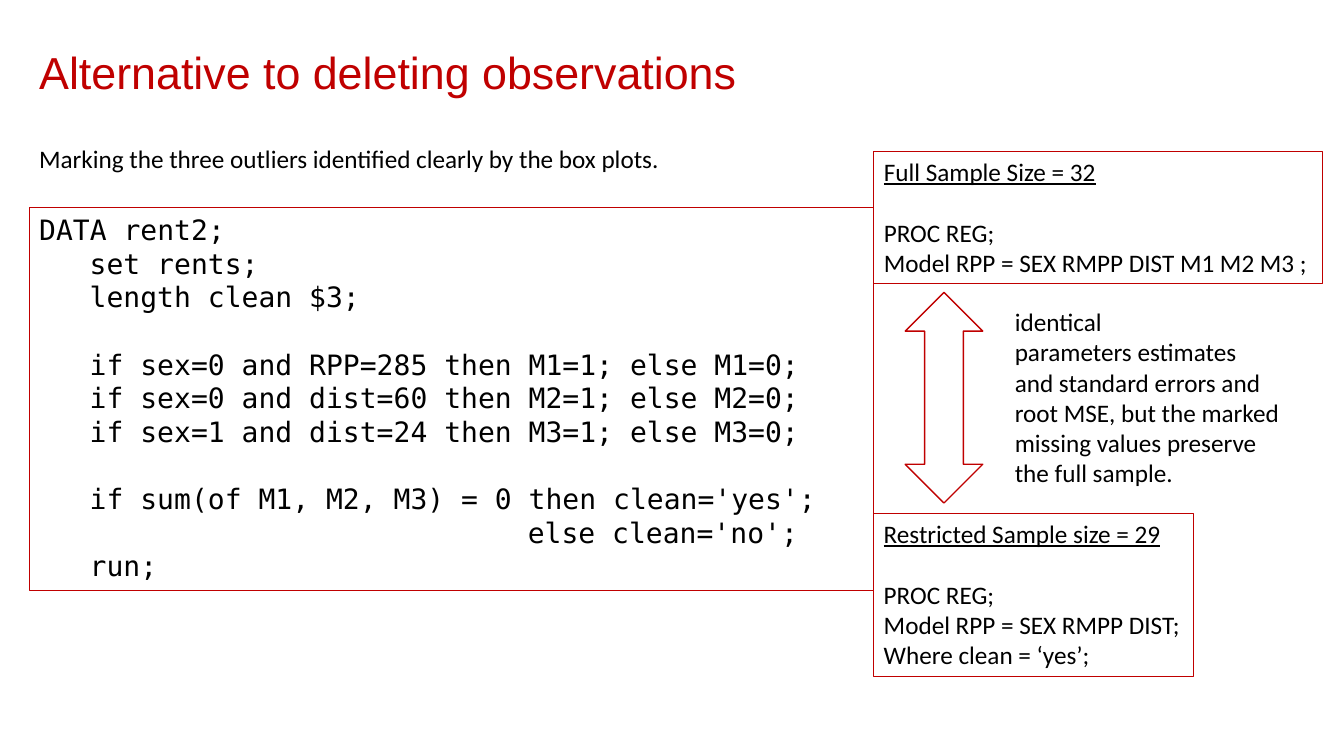
from pptx import Presentation
from pptx.dml.color import RGBColor
from pptx.enum.shapes import MSO_SHAPE as SHAPE
from pptx.enum.text import MSO_ANCHOR as ANCHOR, PP_ALIGN as ALIGN
from pptx.util import Pt


def rgb(value):
    return RGBColor.from_string(value)


class Deck:
    red, ink = "C00000", "000000"
    head, body, mono = ("Arial", 32), ("Calibri", 18), ("DejaVu Sans Mono", 20)

    def __init__(self, prs):
        self.s = prs.slides.add_slide(prs.slide_layouts[6])

    def shape(self, kind, x, y, w, h, line=0.75):
        sp = self.s.shapes.add_shape(kind, Pt(x), Pt(y), Pt(w), Pt(h))
        sp.shadow.inherit = False
        sp.fill.background()
        sp.line.color.rgb = rgb(self.red)
        sp.line.width = Pt(line)
        return sp

    def label(self, x, y, w, h):
        return self.s.shapes.add_textbox(Pt(x), Pt(y), Pt(w), Pt(h))

    def add_lines(self, sp, lines, style, color=ink, wrap=True, anchor=ANCHOR.TOP):
        tf = sp.text_frame
        tf.word_wrap = wrap
        tf.vertical_anchor = anchor
        for i, (text, opts) in enumerate(lines):
            p = tf.paragraphs[0] if i == 0 else tf.add_paragraph()
            p.alignment = ALIGN.LEFT
            p.space_before = Pt(opts.get("gap", 0))
            p.line_spacing = opts.get("spacing", 1.0)
            if "indent" in opts:
                pPr = p._p.get_or_add_pPr()
                pPr.set("marL", str(Pt(opts["indent"])))
                pPr.set("indent", "0")
            r = p.add_run()
            r.text = text
            r.font.name, size = style
            r.font.size = Pt(size)
            r.font.underline = opts.get("underline", False)
            r.font.color.rgb = rgb(color)

    def model_box(self, x, y, w, h, heading, *code):
        lines = [(heading, {"underline": True}), ("PROC REG;", {"gap": 22})]
        lines += [(text, {}) for text in code]
        self.add_lines(self.shape(SHAPE.RECTANGLE, x, y, w, h), lines, self.body, wrap=False)


def main():
    prs = Presentation()
    prs.slide_width, prs.slide_height = Pt(960), Pt(540)
    d = Deck(prs)

    d.add_lines(d.label(20.9, 28.8, 872.6, 49.7),
                [("Alternative to deleting observations", {"spacing": 0.9})],
                d.head, d.red, anchor=ANCHOR.MIDDLE)

    step, gap = {"indent": 36.12}, {"indent": 36.12, "gap": 24}
    code = [
        ("DATA rent2;", {}),
        ("set rents;", step),
        ("length clean $3;", step),
        ("if sex=0 and RPP=285 then M1=1; else M1=0;", gap),
        ("if sex=0 and dist=60 then M2=1; else M2=0;", step),
        ("if sex=1 and dist=24 then M3=1; else M3=0;", step),
        ("if sum(of M1, M2, M3) = 0 then clean='yes';", gap),
        ("else clean='no';", {"indent": 349}),
        ("run;", step),
    ]
    d.add_lines(d.shape(SHAPE.RECTANGLE, 20.9, 148.3, 603.4, 273.6), code, d.mono)

    d.add_lines(d.label(20.9, 98.6, 463, 28.8),
                [("Marking the three outliers identified clearly by the box plots.", {})],
                d.body, wrap=False)

    d.model_box(624.2, 366.5, 228.2, 116.6, "Restricted Sample size = 29",
                "Model RPP = SEX RMPP DIST;", "Where clean = ‘yes’;")
    d.model_box(624.2, 108, 320.4, 94.3, "Full Sample Size = 32",
                "Model RPP = SEX RMPP DIST M1 M2 M3 ;")

    remark = ["identical", "parameters estimates", "and standard errors and",
              "root MSE, but the marked", "missing values preserve the full sample."]
    d.add_lines(d.label(717.8, 215.3, 213.1, 138.2), [(text, {}) for text in remark], d.body)
    d.shape(SHAPE.UP_DOWN_ARROW, 646.6, 208.8, 55.4, 150.5, line=1)

    prs.save("out.pptx")


if __name__ == "__main__":
    main()
